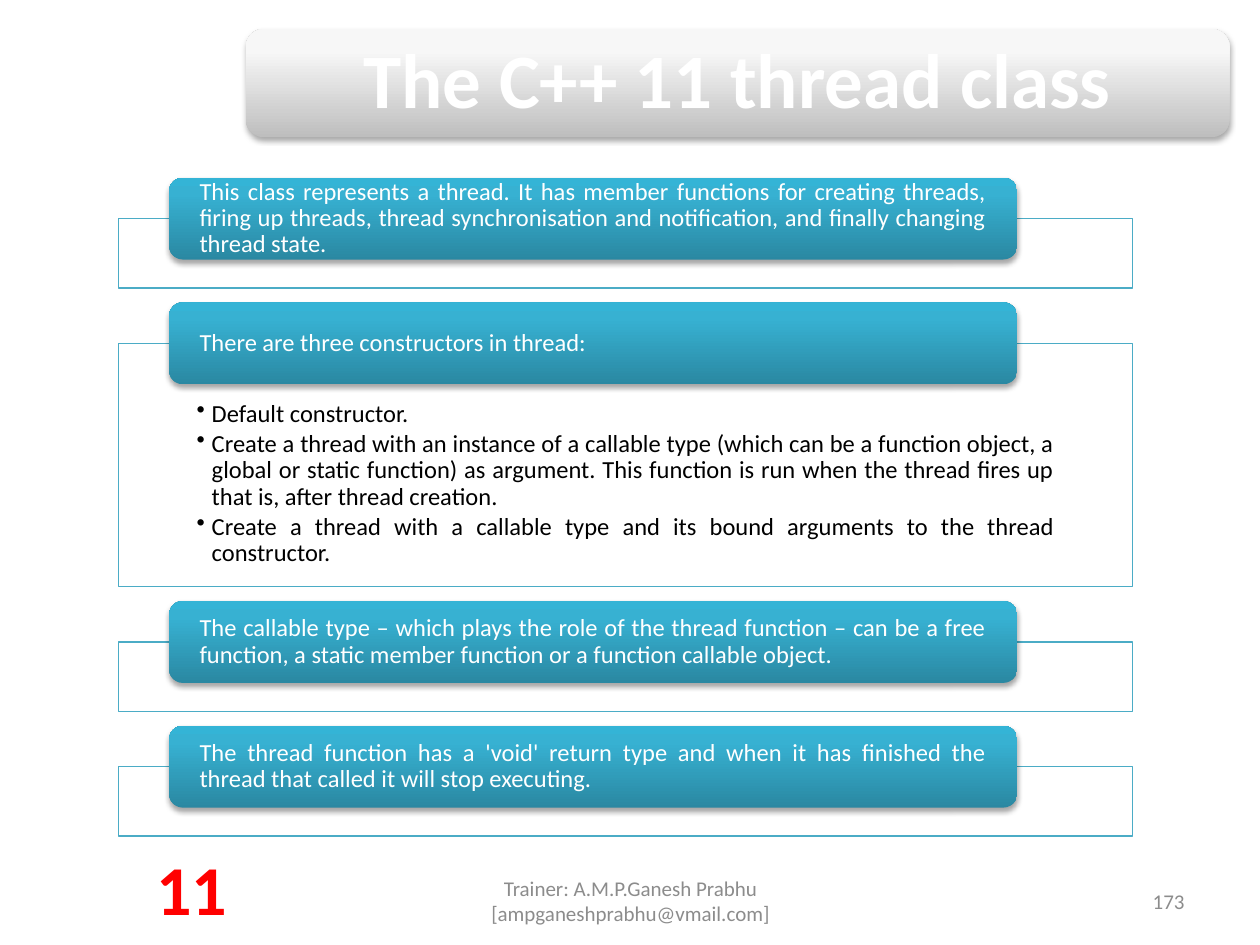
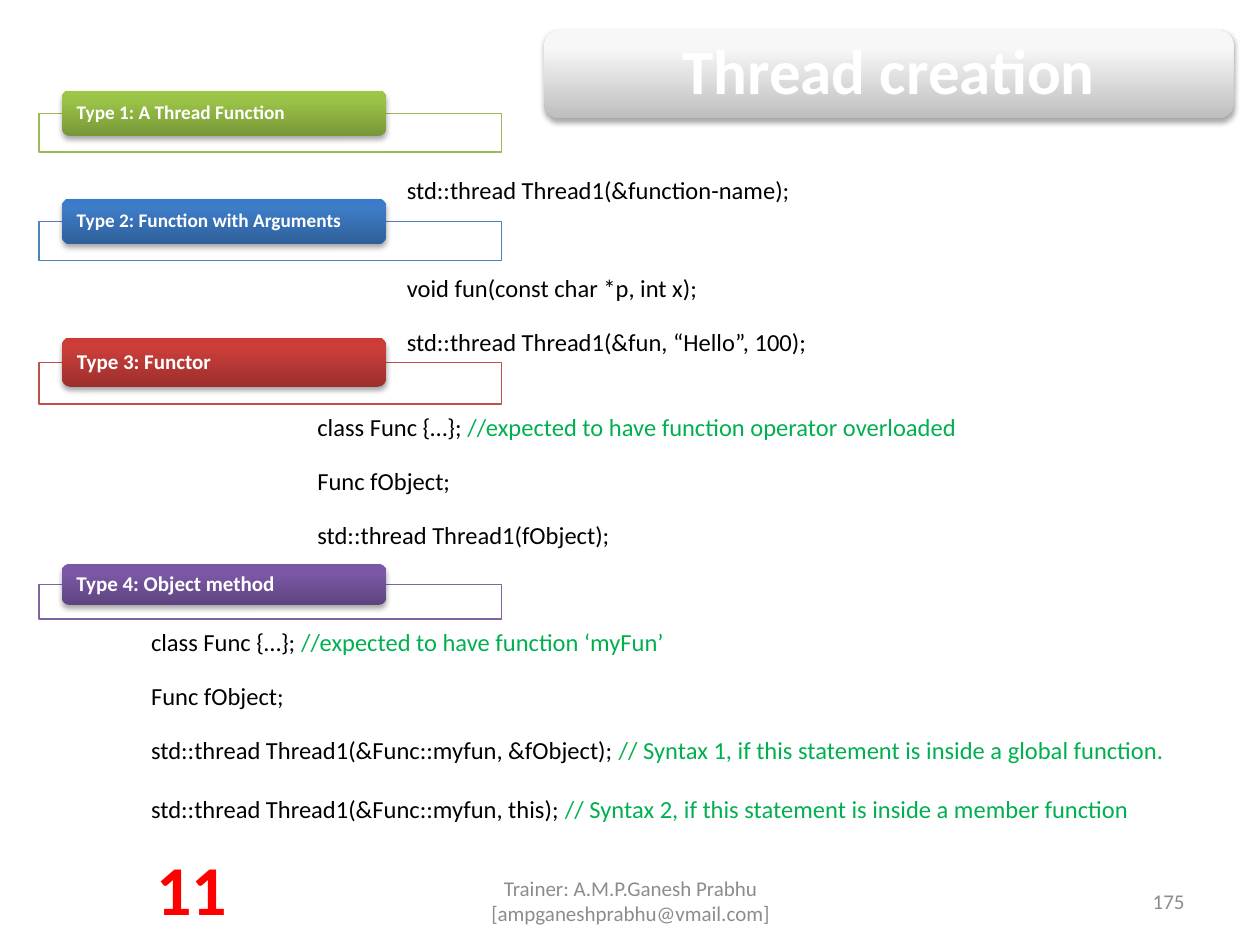
import copy

import pptx
import pptx.dml.color
import pptx.enum.shapes
import pptx.enum.text
import pptx.oxml.ns
import pptx.util
from lxml import etree

SHAPE = pptx.enum.shapes.MSO_SHAPE
ALIGN = pptx.enum.text.PP_ALIGN
ANCHOR = pptx.enum.text.MSO_ANCHOR
rgb = pptx.dml.color.RGBColor.from_string
qn = pptx.oxml.ns.qn

FONT = "Calibri"
WHITE, BLACK, GREY, RED, GREEN = "FFFFFF", "000000", "8C8C8C", "FF0000", "00B050"
SILVER_STOPS = ("BEBEBE", "F7F7F7", "F8F8F8")
TEAL, TEAL_STOPS = "4BACC6", ("2A88A2", "37B1D2", "34B4D6")

prs = pptx.Presentation()
prs.slide_width = pptx.util.Inches(10)
prs.slide_height = pptx.util.Inches(7.5)
COL = prs.slide_width / 100
ROW = prs.slide_height / 75


def write(s, lines, size, color, bold=False, align=ALIGN.LEFT, anchor=ANCHOR.MIDDLE,
          insets=(0.1, 0.05, 0.1, 0.05), spacing=1.0):
    """Fill a shape with one paragraph per line; a part from // on turns green."""
    tf = s.text_frame
    tf.word_wrap = True
    tf.vertical_anchor = anchor
    tf.margin_left, tf.margin_top, tf.margin_right, tf.margin_bottom = map(pptx.util.Inches, insets)
    tf.text = "\n".join(lines)
    for p in tf.paragraphs:
        code, slashes, comment = p.text.partition("//")
        p.text = code
        if slashes:
            p.add_run().text = slashes + comment
        p.alignment = align
        p.line_spacing = spacing
        for r in p.runs:
            r.font.name = FONT
            r.font.size = pptx.util.Pt(size)
            r.font.bold = bold
            r.font.color.rgb = rgb(GREEN if r.text.startswith("//") else color)
    return tf


def add_pill(slide, left, top, width, height, colors):
    """Add a rounded bar with a bottom-to-top gradient and a soft shadow."""
    s = slide.shapes.add_shape(SHAPE.ROUNDED_RECTANGLE, int(left * COL), int(top * ROW),
                               int(width * COL), int(height * ROW))
    s.line.fill.background()
    s.fill.gradient()
    s.fill.gradient_angle = 90
    stop_list = s._element.spPr.find(".//" + qn("a:gsLst"))
    stop_list.append(copy.deepcopy(stop_list[-1]))
    for stop, position, color in zip(s.fill.gradient_stops, (0, 0.8, 1), colors):
        stop.position = position
        stop.color.rgb = rgb(color)
    s.shadow.inherit = False
    effects = s._element.spPr.find(qn("a:effectLst"))
    shadow = etree.SubElement(effects, qn("a:outerShdw"), blurRad="40000", dist="23000",
                              dir="5400000", rotWithShape="0")
    shade = etree.SubElement(shadow, qn("a:srgbClr"), val=BLACK)
    etree.SubElement(shade, qn("a:alpha"), val="35000")
    return s


# Titles and footers
titles = [
    ("The C++ 11 thread class", 44, 0.18, (19.5, 2.3, 78.1, 8.6), "173"),
    ("Thread creation", 36, 0.15, (43.2, 2.4, 54.7, 7), "175"),
]
slides = []
for title, size, inset, box, number in titles:
    slide = prs.slides.add_slide(prs.slide_layouts[6])
    slides.append(slide)
    write(add_pill(slide, *box, SILVER_STOPS), [title], size, WHITE, True, ALIGN.CENTER,
          insets=(inset,) * 4, spacing=0.9)
    footers = [
        ("Trainer: A.M.P.Ganesh Prabhu [ampganeshprabhu@vmail.com]",
         (34.2, 69.5, 31.7, 4), 12, GREY, False, ALIGN.CENTER),
        (number, (71.7, 69.5, 23.3, 4), 12, GREY, False, ALIGN.RIGHT),
        ("11", (11.3, 66.6, 7.8, 7.7), 40, RED, True, ALIGN.CENTER),
    ]
    for text, (left, top, width, height), size, color, bold, align in footers:
        s = slide.shapes.add_textbox(int(left * COL), int(top * ROW), int(width * COL), int(height * ROW))
        write(s, [text], size, color, bold, align)
class_slide, creation_slide = slides

# Cards of the thread class, stacked with an equal gap
constructors = [
    "Default constructor.",
    "Create a thread with an instance of a callable type (which can be a function object, a global "
    "or static function) as argument. This function is run when the thread fires up that is, after "
    "thread creation.",
    "Create a thread with a callable type and its bound arguments to the thread constructor.",
]
statements = [
    ("This class represents a thread. It has member functions for creating threads, firing up "
     "threads, thread synchronisation and notification, and finally changing thread state.", []),
    ("There are three constructors in thread:", constructors),
    ("The callable type – which plays the role of the thread function – can be a free function, "
     "a static member function or a function callable object.", []),
    ("The thread function has a 'void' return type and when it has finished the thread that "
     "called it will stop executing.", []),
]
PILL_HEIGHT, CARD_GAP = 6.5, 1.15
top = 14.1
cards = []
for text, bullets in statements:
    frame_height = 19.3 if bullets else 5.5
    cards.append((class_slide, text, bullets, 14, top, PILL_HEIGHT, frame_height, TEAL, TEAL_STOPS))
    top += PILL_HEIGHT / 2 + frame_height + CARD_GAP

# Cards of the four ways to create a thread
thread_types = [
    ("Type 1: A Thread Function", 11, 7.2, 3.6, "9BBB59", ("779737", "9BC348", "9DC746")),
    ("Type 2: Function with Arguments", 11, 15.8, 3.6, "4F81BD", ("2F5F99", "3D7CC7", "3A7CCB")),
    ("Type 3: Functor", 12, 26.8, 3.9, "C0504D", ("9C2F2D", "CB3E3A", "CE3B37")),
    ("Type 4: Object method", 12, 44.8, 3.2, "8064A2", ("5F4480", "7B58A6", "7C57A8")),
]
for text, size, top, height, color, stops in thread_types:
    cards.append((creation_slide, text, [], size, top, height, 0.85 * height, color, stops))

for slide, text, bullets, size, top, height, frame_height, color, stops in cards:
    on_class = slide is class_slide
    left, width, pill_width = (9.4, 80.5, 67.3) if on_class else (3.1, 36.7, 25.7)
    frame = slide.shapes.add_shape(SHAPE.RECTANGLE, int(left * COL), int((top + height / 2) * ROW),
                                   int(width * COL), int(frame_height * ROW))
    frame.shadow.inherit = False
    frame.fill.solid()
    frame.fill.fore_color.rgb = rgb(WHITE)
    etree.SubElement(frame._element.spPr.find(".//" + qn("a:srgbClr")), qn("a:alpha"), val="90000")
    frame.line.color.rgb = rgb(color)
    frame.line.width = pptx.util.Pt(0.75)
    if bullets:
        tf = write(frame, bullets, 14, BLACK, align=ALIGN.JUSTIFY, anchor=ANCHOR.TOP,
                   insets=(0.62, 0.46, 0.62, 0.11), spacing=0.9)
        for p in tf.paragraphs:
            p.space_after = pptx.util.Pt(2)
            pPr = p._p.get_or_add_pPr()
            indent = pptx.util.Inches(0.12)
            pPr.set("marL", str(indent))
            pPr.set("indent", str(-indent))
            etree.SubElement(pPr, qn("a:buChar"), char="•")
    pill = add_pill(slide, left + 0.05 * width, top, pill_width, height, stops)
    side = 0.21 if on_class else 0.1
    write(pill, [text], size, WHITE, not on_class, ALIGN.JUSTIFY if on_class else ALIGN.LEFT,
          insets=(side, 0, side, 0), spacing=0.9)

# Code samples
samples = [
    ((31.3, 13.4, 55.5, 3.4), ["std::thread Thread1(&function-name);"]),
    ((31.3, 21.2, 55.5, 7.7), ["void fun(const char *p, int x);",
                               "std::thread Thread1(&fun, “Hello”, 100);"]),
    ((24.2, 32.2, 55.5, 12.1), ["class Func {…}; //expected to have function operator overloaded",
                                "Func fObject;",
                                "std::thread Thread1(fObject);"]),
    ((11, 49.3, 85.2, 19.2), [
        "class Func {…}; //expected to have function ‘myFun’",
        "Func fObject;",
        "std::thread Thread1(&Func::myfun, &fObject); "
        "// Syntax 1, if this statement is inside a global function.",
        "std::thread Thread1(&Func::myfun, this); "
        "// Syntax 2, if this statement is inside a member function"]),
]
for (left, top, width, height), lines in samples:
    s = creation_slide.shapes.add_textbox(int(left * COL), int(top * ROW), int(width * COL), int(height * ROW))
    tf = write(s, lines, 14, BLACK, anchor=ANCHOR.TOP)
    for p in tf.paragraphs[:-1]:
        p.space_after = pptx.util.Pt(17 if "Syntax 1" in p.text else 14)

prs.save("out.pptx")
